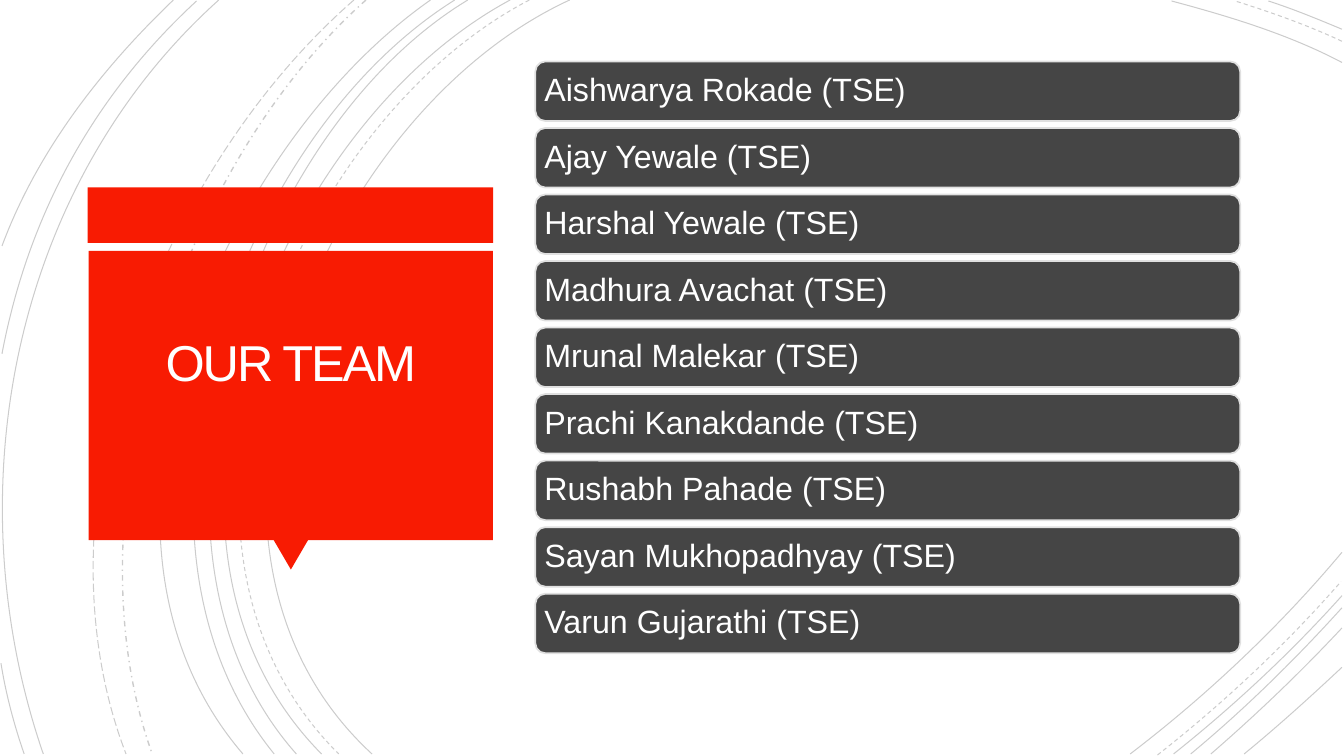
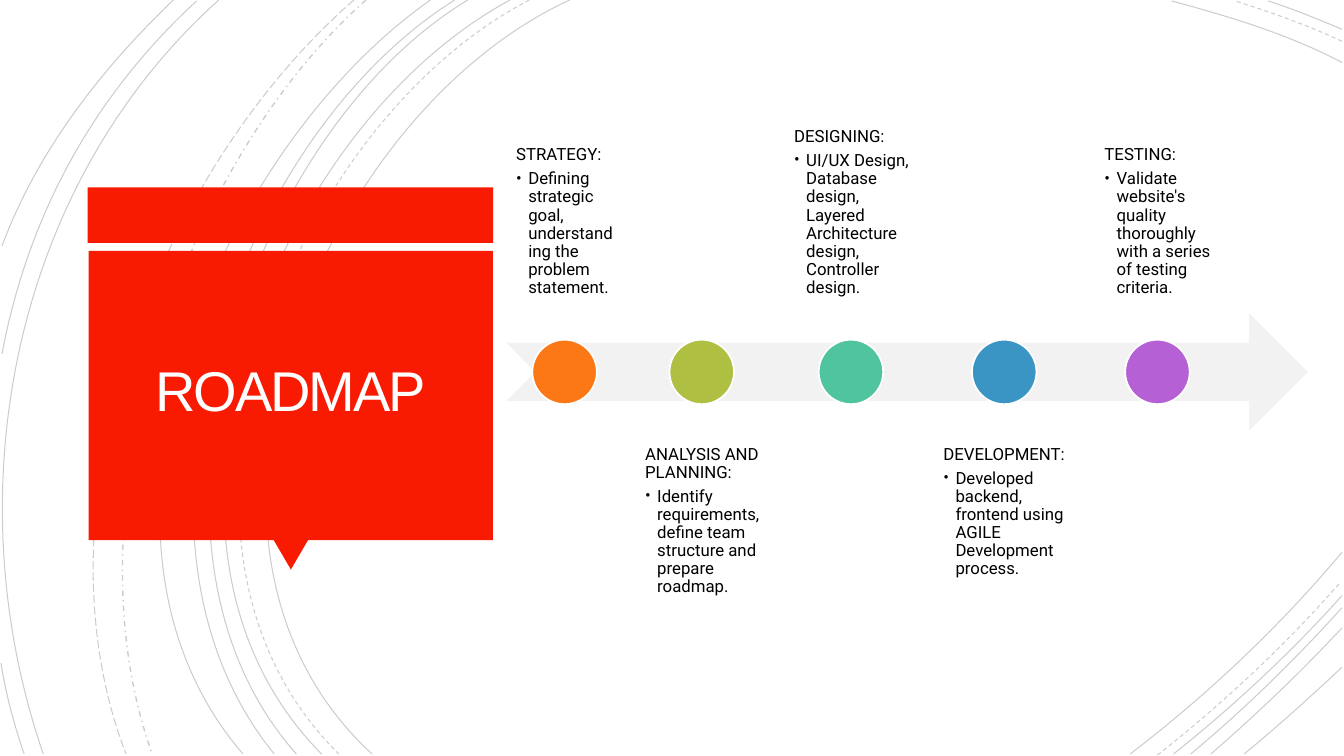
"""Build the team and roadmap slides on a shared curved-line backdrop."""
from dataclasses import dataclass
from typing import NamedTuple

import lxml.etree
import pptx
import pptx.dml.color
import pptx.enum.dml
import pptx.enum.shapes
import pptx.enum.text
import pptx.oxml.ns
import pptx.presentation
import pptx.shapes.autoshape
import pptx.slide
import pptx.text.text
import pptx.util

EMU_PER_PX = 9144
SLIDE_WIDTH, SLIDE_HEIGHT = 1333, 750

BLACK = pptx.dml.color.RGBColor(0x00, 0x00, 0x00)
WHITE = pptx.dml.color.RGBColor(0xFF, 0xFF, 0xFF)
RED = pptx.dml.color.RGBColor(0xF8, 0x1B, 0x02)
CHARCOAL = pptx.dml.color.RGBColor(0x45, 0x45, 0x45)
SILVER = pptx.dml.color.RGBColor(0xE0, 0xE0, 0xE0)
PALE_GREY = pptx.dml.color.RGBColor(0xF2, 0xF2, 0xF2)
ORANGE = pptx.dml.color.RGBColor(0xFC, 0x77, 0x15)
OLIVE = pptx.dml.color.RGBColor(0xAF, 0xBF, 0x41)
TEAL = pptx.dml.color.RGBColor(0x50, 0xC4, 0x9F)
BLUE = pptx.dml.color.RGBColor(0x3B, 0x95, 0xC4)
PURPLE = pptx.dml.color.RGBColor(0xB5, 0x60, 0xD4)

Kind = pptx.enum.shapes.MSO_SHAPE
Dash = pptx.enum.dml.MSO_LINE_DASH_STYLE
Align = pptx.enum.text.PP_ALIGN
Anchor = pptx.enum.text.MSO_ANCHOR
qn = pptx.oxml.ns.qn


class Box(NamedTuple):
    left: int
    top: int
    width: int
    height: int


@dataclass(frozen=True)
class Curve:
    start: tuple[int, int]
    pull_start: tuple[int, int]
    pull_end: tuple[int, int]
    end: tuple[int, int]
    dash: Dash = Dash.SOLID
    weight: float = 0.75


@dataclass(frozen=True)
class Stage:
    heading: str
    detail: str
    text_left: int
    text_width: int
    dot_left: int
    color: pptx.dml.color.RGBColor


CURVES = (
    Curve((565, 0), (315, 115), (143, 540), (369, 748)),
    Curve((1331, 62), (1278, 34), (1218, 16), (1162, 1)),
    Curve((1121, 748), (1197, 690), (1269, 622), (1331, 548)),
    Curve((525, 0), (285, 125), (123, 537), (336, 748), Dash.DASH),
    Curve((1331, 41), (1297, 25), (1260, 12), (1225, 1), Dash.DASH),
    Curve((1148, 749), (1213, 698), (1275, 640), (1330, 577), Dash.DASH),
    Curve((506, 0), (270, 127), (110, 537), (319, 748)),
    Curve((1331, 29), (1307, 19), (1283, 9), (1258, 1)),
    Curve((1164, 748), (1223, 701), (1280, 648), (1331, 591)),
    Curve((464, 0), (244, 133), (110, 541), (294, 748)),
    Curve((1181, 748), (1234, 704), (1284, 655), (1331, 603)),
    Curve((451, 0), (231, 138), (97, 533), (272, 748)),
    Curve((1201, 748), (1246, 709), (1290, 667), (1331, 623)),
    Curve((427, 0), (217, 147), (53, 529), (241, 748)),
    Curve((1234, 748), (1267, 721), (1299, 692), (1331, 662)),
    Curve((363, 0), (176, 166), (65, 509), (151, 748), Dash.DASH_DOT, 1),
    Curve((351, 0), (157, 169), (29, 499), (125, 748), Dash.LONG_DASH),
    Curve((217, 0), (11, 185), (-46, 490), (43, 748)),
    Curve((195, 1), (92, 96), (28, 214), (2, 351)),
    Curve((1, 658), (6, 689), (14, 719), (24, 748)),
    Curve((172, 0), (100, 69), (37, 150), (2, 244)),
)

MEMBERS = ("Aishwarya Rokade", "Ajay Yewale", "Harshal Yewale", "Madhura Avachat",
           "Mrunal Malekar", "Prachi Kanakdande", "Rushabh Pahade",
           "Sayan Mukhopadhyay", "Varun Gujarathi")
FIRST_MEMBER = Box(531, 61, 699, 59)
MEMBER_PITCH = 66

STAGES = (
    Stage("STRATEGY:", "Defining strategic goal, understanding the problem statement.",
          502, 116, 528, ORANGE),
    Stage("ANALYSIS AND PLANNING:",
          "Identify requirements, define team structure and prepare roadmap.",
          624, 145, 664, OLIVE),
    Stage("DESIGNING:", "UI/UX Design, Database design, Layered Architecture design, "
          "Controller design.", 775, 139, 812, TEAL),
    Stage("DEVELOPMENT:", "Developed backend, frontend using AGILE Development process.",
          919, 154, 964, BLUE),
    Stage("TESTING:", "Validate website's quality thoroughly with a series of testing "
          "criteria.", 1079, 138, 1116, PURPLE),
)
STAGE_TEXT_HEIGHT = 256
ABOVE_TOP, BELOW_TOP = 48, 433
DOT_TOP, DOT_SIZE = 337, 64


def px(length: int) -> pptx.util.Emu:
    return pptx.util.Emu(length * EMU_PER_PX)


def write(frame: pptx.text.text.TextFrame, text: str, *, size: int, font: str = "Arial",
          color: pptx.dml.color.RGBColor = WHITE, align: Align = Align.LEFT,
          leading: float = 0.9, after: float = 0, tracking: int = 0,
          bullet_indent: int = 0) -> None:
    para = frame.paragraphs[0] if not frame.text else frame.add_paragraph()
    para.alignment = align
    para.line_spacing = leading
    para.space_after = pptx.util.Pt(after)
    span = para.add_run()
    span.text = text
    span.font.size = pptx.util.Pt(size)
    span.font.name = font
    span.font.color.rgb = color
    if tracking:
        span.font._element.set("spc", str(tracking))
    if bullet_indent:
        properties = para._p.get_or_add_pPr()
        properties.set("marL", str(px(bullet_indent)))
        properties.set("indent", str(-px(bullet_indent)))
        lxml.etree.SubElement(properties, qn("a:buFont")).set("typeface", font)
        lxml.etree.SubElement(properties, qn("a:buChar")).set("char", "•")


def prepare_frame(frame: pptx.text.text.TextFrame, anchor: Anchor, inset: int) -> None:
    frame.word_wrap = True
    frame.vertical_anchor = anchor
    frame.margin_left = frame.margin_right = px(inset)
    frame.margin_top = frame.margin_bottom = px(inset)


def add_text_box(page: pptx.slide.Slide, box: Box, anchor: Anchor, inset: int,
                 center_block: bool = False) -> pptx.text.text.TextFrame:
    holder = page.shapes.add_textbox(*map(px, box))
    prepare_frame(holder.text_frame, anchor, inset)
    if center_block:
        holder.element.find(f".//{qn('a:bodyPr')}").set("anchorCtr", "1")
    return holder.text_frame


def add_figure(page: pptx.slide.Slide, kind: Kind, box: Box,
               fill: pptx.dml.color.RGBColor,
               outline: pptx.dml.color.RGBColor | None = None,
               ) -> pptx.shapes.autoshape.Shape:
    figure = page.shapes.add_shape(kind, *map(px, box))
    figure.shadow.inherit = False
    figure.fill.solid()
    figure.fill.fore_color.rgb = fill
    if outline is None:
        figure.line.fill.background()
    else:
        figure.line.color.rgb = outline
        figure.line.width = pptx.util.Pt(1.25)
    return figure


def add_curve(page: pptx.slide.Slide, curve: Curve) -> None:
    builder = page.shapes.build_freeform(*curve.start, scale=EMU_PER_PX)
    builder.add_line_segments((curve.pull_start, curve.pull_end, curve.end), close=False)
    outline = builder.convert_to_shape()
    outline.shadow.inherit = False
    outline.fill.background()
    outline.line.color.rgb = BLACK
    outline.line.width = pptx.util.Pt(curve.weight)
    outline.line.dash_style = curve.dash
    properties = outline.element.spPr
    ink = properties.find(f".//{qn('a:srgbClr')}")
    lxml.etree.SubElement(ink, qn("a:alpha")).set("val", "20000")
    track = properties.find(f".//{qn('a:pathLst')}")[0]
    segments = track.findall(qn("a:lnTo"))
    bezier = lxml.etree.SubElement(track, qn("a:cubicBezTo"))
    for segment in segments:
        bezier.append(segment[0])
        track.remove(segment)


def add_page(deck: pptx.presentation.Presentation, title: str, title_box: Box,
             title_size: int) -> pptx.slide.Slide:
    page = deck.slides.add_slide(deck.slide_layouts[6])
    for curve in CURVES:
        add_curve(page, curve)
    add_figure(page, Kind.RECTANGLE, Box(87, 186, 402, 55), RED)
    pointer = add_figure(page, Kind.ISOSCELES_TRIANGLE, Box(271, 535, 35, 30), RED)
    pointer.rotation = 180
    add_figure(page, Kind.RECTANGLE, Box(88, 249, 401, 287), RED)
    frame = add_text_box(page, title_box, Anchor.MIDDLE, 10)
    write(frame, title, size=title_size, align=Align.CENTER, leading=0.85, tracking=-150)
    return page


def add_team(deck: pptx.presentation.Presentation) -> None:
    page = add_page(deck, "OUR TEAM", Box(69, 188, 439, 351), 36)
    for index, member in enumerate(MEMBERS):
        box = FIRST_MEMBER._replace(top=FIRST_MEMBER.top + index * MEMBER_PITCH)
        card = add_figure(page, Kind.ROUNDED_RECTANGLE, box, CHARCOAL, SILVER)
        prepare_frame(card.text_frame, Anchor.MIDDLE, 6)
        write(card.text_frame, f"{member} (TSE)", size=23)


def add_roadmap(deck: pptx.presentation.Presentation) -> None:
    page = add_page(deck, "ROADMAP", Box(97, 257, 383, 269), 40)
    add_figure(page, Kind.NOTCHED_RIGHT_ARROW, Box(502, 311, 795, 116), PALE_GREY)
    for index, stage in enumerate(STAGES):
        top, anchor = ((BELOW_TOP, Anchor.TOP) if index % 2
                       else (ABOVE_TOP, Anchor.BOTTOM))
        box = Box(stage.text_left, top, stage.text_width, STAGE_TEXT_HEIGHT)
        frame = add_text_box(page, box, anchor, 9, center_block=True)
        write(frame, stage.heading, size=12, font="Roboto", color=BLACK, after=4.2)
        write(frame, stage.detail, size=12, font="Roboto", color=BLACK, bullet_indent=12)
        add_figure(page, Kind.OVAL, Box(stage.dot_left, DOT_TOP, DOT_SIZE, DOT_SIZE),
                   stage.color, WHITE)


def main() -> None:
    deck = pptx.Presentation()
    deck.slide_width, deck.slide_height = px(SLIDE_WIDTH), px(SLIDE_HEIGHT)
    add_team(deck)
    add_roadmap(deck)
    deck.save("out.pptx")


if __name__ == "__main__":
    main()
